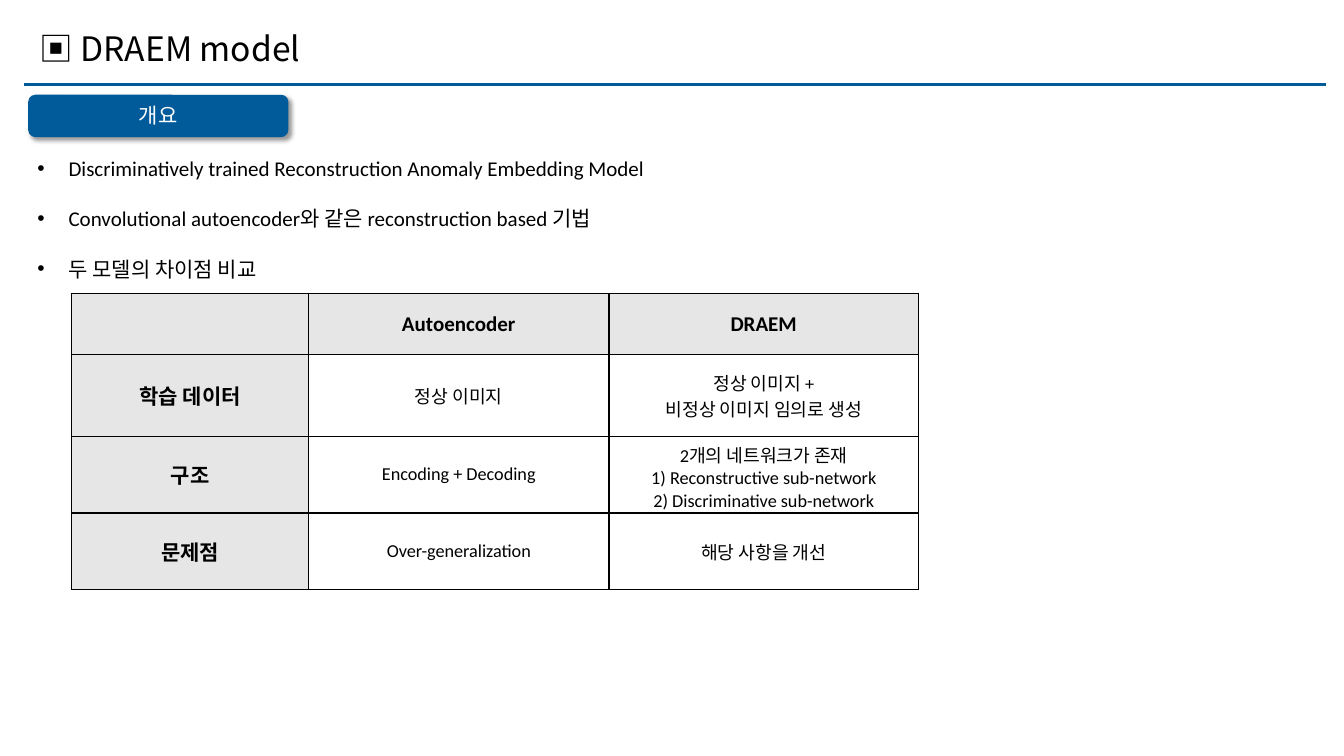
import lxml.etree
import pptx
import pptx.dml.color
import pptx.enum.shapes
import pptx.enum.text
import pptx.oxml
import pptx.oxml.ns
import pptx.util

Inches = pptx.util.Inches
Align = pptx.enum.text.PP_ALIGN
Anchor = pptx.enum.text.MSO_ANCHOR
AutoSize = pptx.enum.text.MSO_AUTO_SIZE
qname = pptx.oxml.ns.qn

THEME = {
    "blue": pptx.dml.color.RGBColor.from_string("015B9A"),
    "black": pptx.dml.color.RGBColor.from_string("000000"),
    "white": pptx.dml.color.RGBColor.from_string("FFFFFF"),
    "gray": pptx.dml.color.RGBColor.from_string("E7E6E6"),
    "latin": "Calibri",
    "korean": "Noto Sans CJK KR",
    "title": 24,
    "body": 15,
    "cell": 13,
}


def add_xml(parent, tag, content="", **attributes):
    pairs = "".join(f' {name}="{value}"' for name, value in attributes.items())
    parent.append(pptx.oxml.parse_xml(
        f'<a:{tag} {pptx.oxml.ns.nsdecls("a")}{pairs}>{content}</a:{tag}>'))


def write(frame, text, size, color="black", font="latin", bold=False, align=Align.CENTER):
    frame.text = text
    for para in frame.paragraphs:
        para.alignment = align
        for span in para.runs:
            values = {"size": pptx.util.Pt(THEME[size]), "name": THEME[font], "bold": bold}
            for name, value in values.items():
                setattr(span.font, name, value)
            span.font.color.rgb = THEME[color]
            add_xml(span.font._element, "ea", typeface=THEME["korean"])


deck = pptx.Presentation()
deck.slide_width, deck.slide_height = Inches(13.33), Inches(7.5)
page = deck.slides.add_slide(deck.slide_layouts[1])
title, body = page.placeholders

rule = page.shapes.add_connector(
    pptx.enum.shapes.MSO_CONNECTOR.STRAIGHT,
    Inches(0.24), Inches(0.84), Inches(13.15), Inches(0.84))
rule.line.color.rgb = THEME["blue"]
rule.line.width = pptx.util.Pt(2.25)
add_xml(rule._element.spPr, "effectLst")

bullets = "\n".join([
    "Discriminatively trained Reconstruction Anomaly Embedding Model",
    "Convolutional autoencoder와 같은 reconstruction based 기법",
    "두 모델의 차이점 비교",
])
for holder, text, size, font, place in [
    (title, "▣ DRAEM model", "title", "korean", (0.29, 0.23, 6.57, 0.5)),
    (body, bullets, "body", "latin", (0.27, 1.24, 12.87, 1.54)),
]:
    for name, value in zip(("left", "top", "width", "height"), place):
        setattr(holder, name, Inches(value))
    frame = holder.text_frame
    settings = {"word_wrap": True, "auto_size": AutoSize.SHAPE_TO_FIT_TEXT,
                "vertical_anchor": Anchor.TOP}
    for name, value in settings.items():
        setattr(frame, name, value)
    write(frame, text, size, font=font, align=Align.LEFT)

for para in body.text_frame.paragraphs:
    para.line_spacing = 2.0
    para.space_before = pptx.util.Pt(0)
    properties = para._p.get_or_add_pPr()
    properties.set("marL", str(Inches(0.31)))
    properties.set("indent", str(-Inches(0.31)))
    add_xml(properties, "buFont", typeface="Arial")
    add_xml(properties, "buChar", char="•")

badge = page.shapes.add_shape(
    pptx.enum.shapes.MSO_SHAPE.ROUNDED_RECTANGLE,
    Inches(0.28), Inches(0.94), Inches(2.58), Inches(0.42))
badge.fill.solid()
badge.fill.fore_color.rgb = THEME["blue"]
badge.line.fill.background()
badge.shadow.inherit = False
effects = badge._element.spPr.find(qname("a:effectLst"))
add_xml(effects, "outerShdw",
        '<a:srgbClr val="000000"><a:alpha val="40000"/></a:srgbClr>',
        blurRad=pptx.util.Pt(3), dist=pptx.util.Pt(3), dir=45 * 60000, algn="tl", rotWithShape=0)
margins = {"margin_left": 0.04, "margin_top": 0.02, "margin_right": 0.04, "margin_bottom": 0.04}
for name, value in margins.items():
    setattr(badge.text_frame, name, Inches(value))
badge.text_frame.vertical_anchor = Anchor.MIDDLE
write(badge.text_frame, "개요", "body", "white", "korean")

comparison = [
    ["", "Autoencoder", "DRAEM"],
    ["학습 데이터", "정상 이미지", "정상 이미지 +\n비정상 이미지 임의로 생성"],
    ["구조", "Encoding + Decoding",
     "2개의 네트워크가 존재\n1) Reconstructive sub-network\n2) Discriminative sub-network"],
    ["문제점", "Over-generalization", "해당 사항을 개선"],
]
table = page.shapes.add_table(
    4, 3, Inches(0.71), Inches(2.91), Inches(8.4), Inches(2.94)).table
table.first_row = table.horz_banding = False
for column, width in zip(table.columns, (2.35, 2.98, 3.07)):
    column.width = Inches(width)
for row, height in zip(table.rows, (0.61, 0.81, 0.76, 0.76)):
    row.height = Inches(height)

for row_index, texts in enumerate(comparison):
    for column_index, text in enumerate(texts):
        cell = table.cell(row_index, column_index)
        heading = row_index == 0 or column_index == 0
        cell.vertical_anchor = Anchor.MIDDLE
        for side in ("lnL", "lnR", "lnT", "lnB"):
            add_xml(cell._tc.get_or_add_tcPr(), side,
                    f'<a:solidFill><a:srgbClr val="{THEME["black"]}"/></a:solidFill>',
                    w=pptx.util.Pt(1))
        cell.fill.solid()
        cell.fill.fore_color.rgb = THEME["gray" if heading else "white"]
        write(cell.text_frame, text, "body" if heading else "cell", bold=heading)

deck.save("out.pptx")
